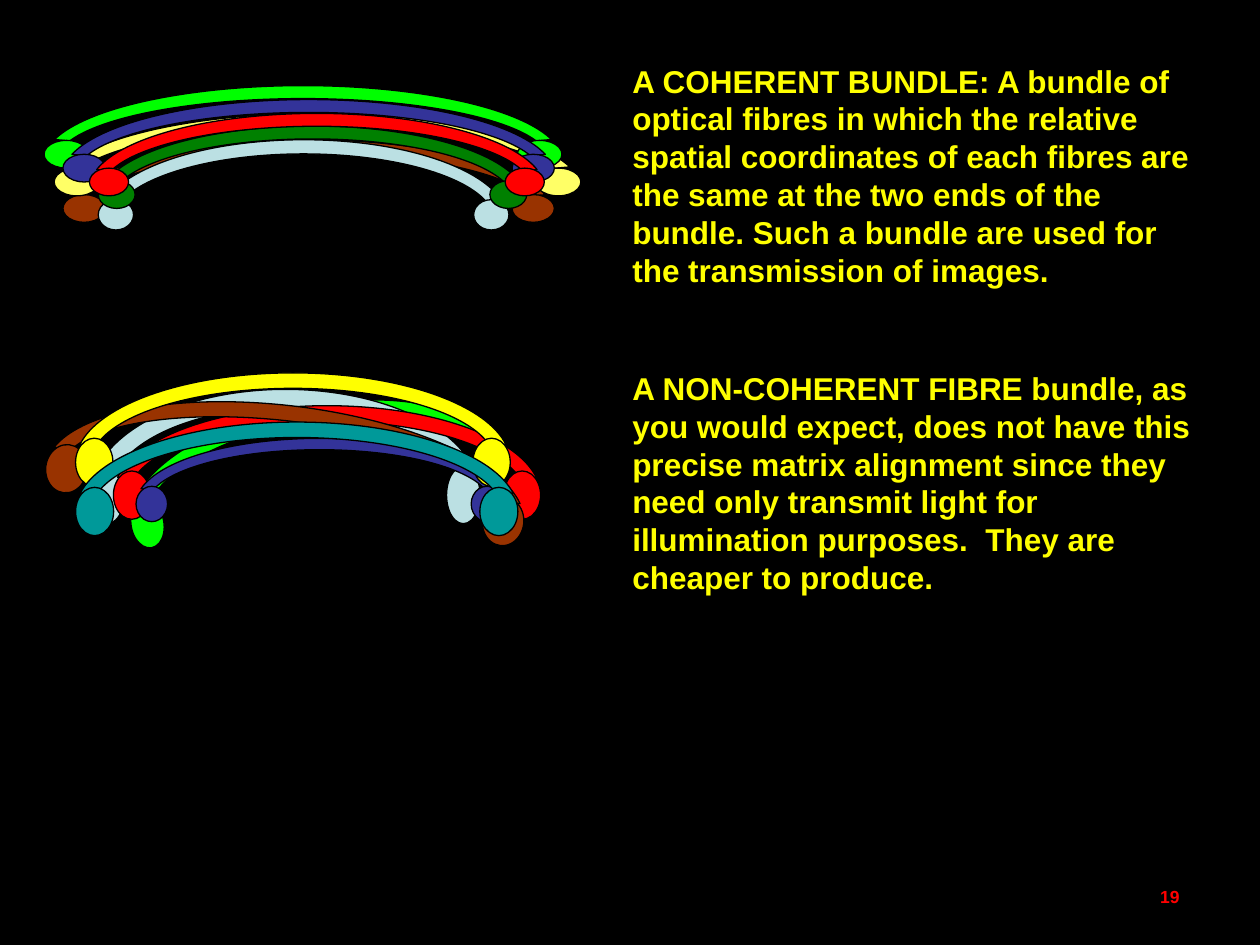
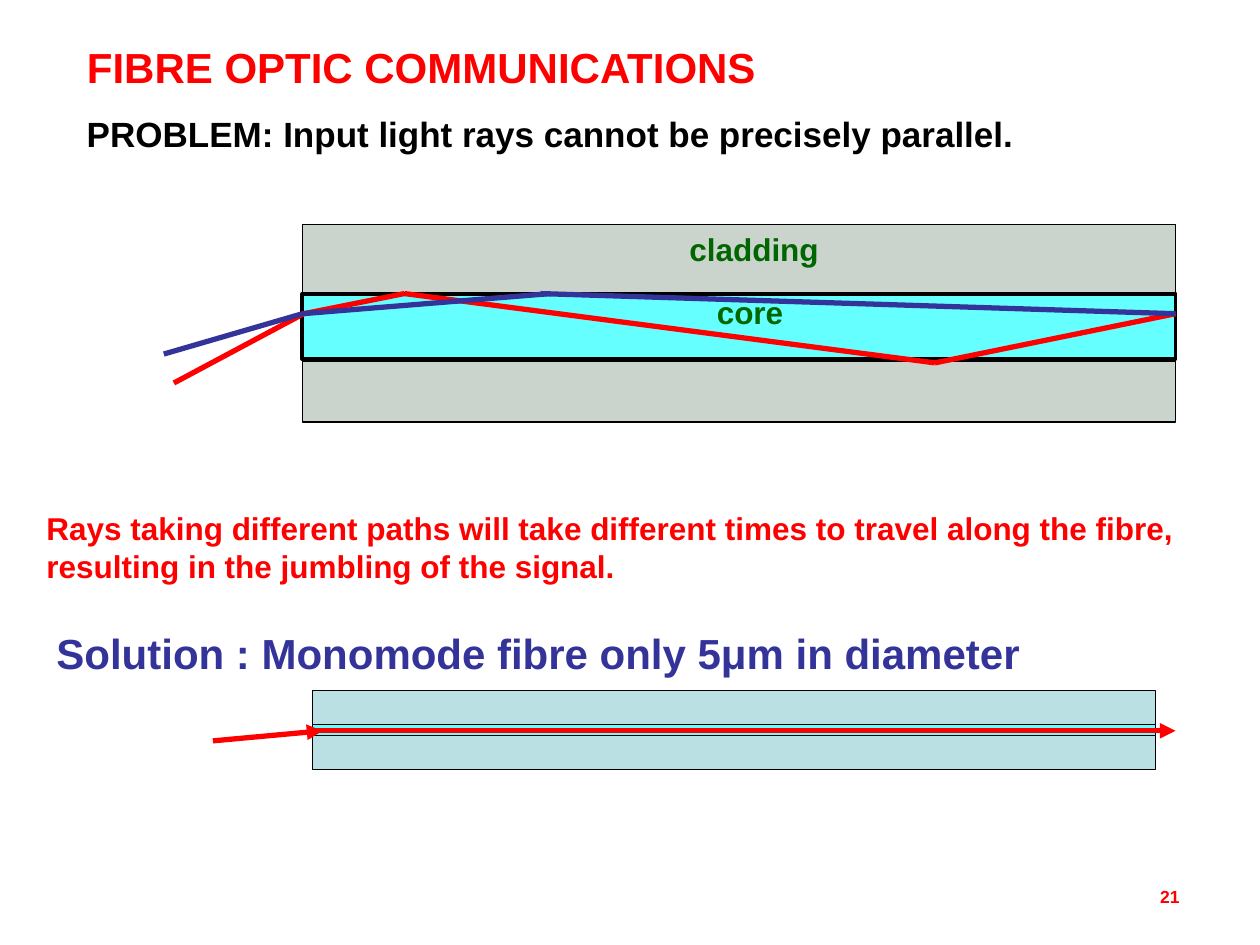
"""Build two slides on fibre bundles and fibre optic communications."""
import itertools
import math

import lxml.etree
import pptx
import pptx.dml.color
import pptx.enum.shapes
import pptx.enum.text
import pptx.oxml.ns
import pptx.util

Inches = pptx.util.Inches
RGBColor = pptx.dml.color.RGBColor
Shapes = pptx.enum.shapes.MSO_SHAPE
Align = pptx.enum.text.PP_ALIGN

BLACK = RGBColor(0x00, 0x00, 0x00)
WHITE = RGBColor(0xFF, 0xFF, 0xFF)
RED = RGBColor(0xFF, 0x00, 0x00)
YELLOW = RGBColor(0xFF, 0xFF, 0x00)
PALE_YELLOW = RGBColor(0xFF, 0xFF, 0x66)
LIME = RGBColor(0x00, 0xFF, 0x00)
GREEN = RGBColor(0x00, 0x80, 0x00)
LABEL_GREEN = RGBColor(0x00, 0x66, 0x00)
BROWN = RGBColor(0x99, 0x33, 0x00)
INDIGO = RGBColor(0x33, 0x33, 0x99)
TEAL = RGBColor(0x00, 0x99, 0x99)
PALE_BLUE = RGBColor(0xBB, 0xE0, 0xE3)
CYAN = RGBColor(0x66, 0xFF, 0xFF)
GREY = RGBColor(0xCB, 0xD3, 0xCD)

TITLE_ONLY, BLANK = 5, 6
ARC_ADJUSTMENTS = (110.914, 213.086, 0.086)
END_WIDTH = 0.086
END_TOP = 0.365

COHERENT_END_HEIGHT = 0.185
COHERENT_FIBRES = (
    ((0.5, 1.11, 3.9, 1.19), BROWN),
    ((0.43, 0.9, 4.18, 1.19), PALE_YELLOW),
    ((0.78, 1.11, 3.26, 1.3), PALE_BLUE),
    ((0.78, 1, 3.4, 1.19), GREEN),
    ((0.35, 0.68, 4.11, 1.19), LIME),
    ((0.5, 0.79, 3.9, 1.19), INDIGO),
    ((0.71, 0.9, 3.61, 1.19), RED),
)

NON_COHERENT_END_HEIGHT = 0.27
NON_COHERENT_FIBRES = (
    ((1.02, 3.21, 3.03, 1.42), LIME, -9.9),
    ((0.72, 3.09, 3.09, 1.68), PALE_BLUE),
    ((0.9, 3.22, 3.39, 1.42), RED),
    ((0.35, 3.22, 3.82, 1.42), BROWN, 6.9),
    ((1.08, 3.48, 2.91, 1.04), INDIGO),
    ((0.6, 2.96, 3.45, 1.42), YELLOW),
    ((0.6, 3.35, 3.51, 1.42), TEAL),
)


class Deck:
    """Hold the presentation, its style and the current slide."""

    def __init__(self):
        self.presentation = pptx.Presentation()
        self.presentation.slide_width = Inches(10)
        self.presentation.slide_height = Inches(7.5)
        self.slide = None

    def add_slide(self, layout, background, number):
        layouts = self.presentation.slide_layouts
        self.slide = self.presentation.slides.add_slide(layouts[layout])
        self.slide.background.fill.solid()
        self.slide.background.fill.fore_color.rgb = background
        self.text((7.13, 6.98, 2.33, 0.52), number, 10, RED, Align.RIGHT)

    def fill_text(self, shape, text, size, color, alignment):
        frame_format = {
            "word_wrap": True,
            "auto_size": pptx.enum.text.MSO_AUTO_SIZE.NONE,
            "vertical_anchor": pptx.enum.text.MSO_ANCHOR.TOP,
        }
        for name, value in frame_format.items():
            setattr(shape.text_frame, name, value)
        paragraph = shape.text_frame.paragraphs[0]
        paragraph.text = text
        paragraph.alignment = alignment
        font_format = {"name": "Arial", "size": pptx.util.Pt(size), "bold": True}
        for name, value in font_format.items():
            setattr(paragraph.font, name, value)
        paragraph.font.color.rgb = color

    def text(self, box, text, size, color, alignment=Align.LEFT):
        shape = self.slide.shapes.add_textbox(*map(Inches, box))
        self.fill_text(shape, text, size, color, alignment)

    def title(self, box, text, size, color):
        shape = self.slide.shapes.title
        for name, value in zip(("left", "top", "width", "height"), box):
            setattr(shape, name, Inches(value))
        self.fill_text(shape, text, size, color, Align.LEFT)

    def shape(self, kind, box, fill, line_width=0.75, rotation=0):
        shape = self.slide.shapes.add_shape(kind, *map(Inches, box))
        shape.shadow.inherit = False
        shape.fill.solid()
        shape.fill.fore_color.rgb = fill
        shape.line.color.rgb = BLACK
        shape.line.width = pptx.util.Pt(line_width)
        shape.rotation = rotation
        return shape

    def fibre(self, end_height, box, color, rotation=0):
        arc = self.shape(Shapes.BLOCK_ARC, box, color, rotation=rotation)
        for index, value in enumerate(ARC_ADJUSTMENTS):
            arc.adjustments[index] = value
        left, top, width, height = box
        end_width, end_height = END_WIDTH * width, end_height * height
        radius = (width - end_width) / 2
        drop = (END_TOP - 0.5) * height + end_height / 2
        angle = math.radians(rotation)
        for offset in (-radius, radius):
            center_x = left + width / 2 + offset * math.cos(angle) - drop * math.sin(angle)
            center_y = top + height / 2 + offset * math.sin(angle) + drop * math.cos(angle)
            end_box = (center_x - end_width / 2, center_y - end_height / 2, end_width, end_height)
            self.shape(Shapes.OVAL, end_box, color, rotation=rotation)

    def ray(self, points, color, arrow=False):
        for start, end in itertools.pairwise(points):
            connector = self.slide.shapes.add_connector(
                pptx.enum.shapes.MSO_CONNECTOR.STRAIGHT, *map(Inches, start + end))
            connector.line.color.rgb = color
            connector.line.width = pptx.util.Pt(3)
            properties = connector._element.spPr
            if arrow:
                lxml.etree.SubElement(
                    properties.find(pptx.oxml.ns.qn("a:ln")),
                    pptx.oxml.ns.qn("a:tailEnd"), type="triangle")
            lxml.etree.SubElement(properties, pptx.oxml.ns.qn("a:effectLst"))


def build_bundles(deck):
    deck.add_slide(BLANK, BLACK, "19")
    for fibre in COHERENT_FIBRES:
        deck.fibre(COHERENT_END_HEIGHT, *fibre)
    deck.text(
        (4.92, 0.44, 4.72, 1.9),
        "A COHERENT BUNDLE: A bundle of optical fibres in which the relative spatial "
        "coordinates of each fibres are the same at the two ends of the bundle. "
        "Such a bundle are used for the transmission of images.", 18, YELLOW)
    for fibre in NON_COHERENT_FIBRES:
        deck.fibre(NON_COHERENT_END_HEIGHT, *fibre)
    deck.text(
        (4.92, 2.88, 4.76, 1.9),
        "A NON-COHERENT FIBRE bundle, as you would expect, does not have this precise "
        "matrix alignment since they need only transmit light for illumination purposes.  "
        "They are cheaper to produce.", 18, YELLOW)


def build_communications(deck):
    deck.add_slide(TITLE_ONLY, WHITE, "21")
    deck.title((0.59, 0.28, 7.17, 0.5), "FIBRE OPTIC COMMUNICATIONS", 24, RED)
    deck.text((0.59, 0.84, 8.43, 0.44),
              "PROBLEM: Input light rays cannot be precisely parallel.", 20, BLACK)

    for top, height, fill, line_width in (
            (1.78, 0.55, GREY, 0.75), (2.33, 0.52, CYAN, 2.25), (2.87, 0.48, GREY, 0.75)):
        deck.shape(Shapes.RECTANGLE, (2.4, top, 6.93, height), fill, line_width)
    deck.text((5.59, 2.28, 0.88, 0.4), "core", 18, LABEL_GREEN)
    deck.text((4.95, 1.78, 2.07, 0.4), "cladding", 18, LABEL_GREEN, Align.CENTER)
    deck.ray(((1.38, 3.04), (2.41, 2.49), (3.21, 2.33), (7.42, 2.88), (9.33, 2.49)), RED)
    deck.ray(((1.3, 2.81), (2.4, 2.49), (4.37, 2.33)), INDIGO)
    deck.ray(((4.29, 2.33), (9.33, 2.49)), INDIGO)

    deck.text((0.27, 3.99, 9.29, 0.7),
              "Rays taking different paths will take different times to travel along "
              "the fibre, resulting in the jumbling of the signal.", 18, RED)
    deck.text((0.35, 4.93, 8.9, 0.5),
              "Solution : Monomode fibre only 5μm in diameter", 24, INDIGO)
    for top, height, fill in (
            (5.48, 0.27, PALE_BLUE), (5.84, 0.27, PALE_BLUE), (5.75, 0.09, CYAN)):
        deck.shape(Shapes.RECTANGLE, (2.48, top, 6.69, height), fill)
    deck.ray(((1.69, 5.88), (2.56, 5.8)), RED, arrow=True)
    deck.ray(((2.48, 5.8), (9.33, 5.8)), RED, arrow=True)


def main():
    deck = Deck()
    build_bundles(deck)
    build_communications(deck)
    deck.presentation.save("out.pptx")


if __name__ == "__main__":
    main()
